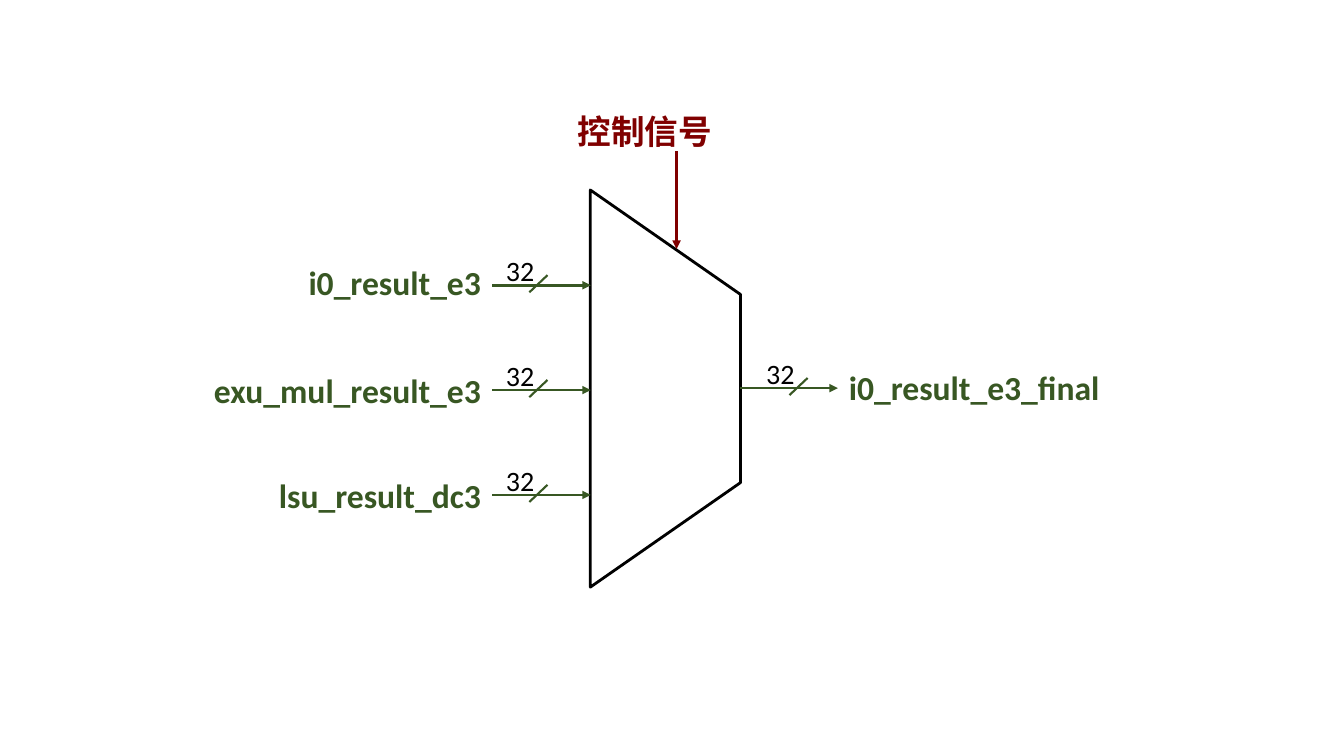
from dataclasses import dataclass

from pptx import Presentation
from pptx.dml.color import RGBColor
from pptx.enum.shapes import MSO_CONNECTOR as Connector, MSO_SHAPE as Shape
from pptx.enum.text import MSO_AUTO_SIZE as AutoSize, PP_ALIGN as Align
from pptx.oxml.ns import qn
from pptx.util import Pt
from lxml.etree import SubElement

EMU_PER_PX = 9144


@dataclass(frozen=True)
class Theme:
    font: str = "Calibri"
    signal: RGBColor = RGBColor(0x38, 0x57, 0x23)
    control: RGBColor = RGBColor(0x80, 0x00, 0x00)
    ink: RGBColor = RGBColor(0x00, 0x00, 0x00)
    name_size: int = 24
    width_size: int = 20
    wire: float = 2
    slash: float = 1.5


def px(*lengths):
    return [length * EMU_PER_PX for length in lengths]


class Diagram:
    def __init__(self, slide, theme):
        self.slide = slide
        self.theme = theme

    def text(self, words, frame, size, color, bold=False, align=Align.LEFT):
        box = self.slide.shapes.add_textbox(*px(*frame))
        box.text_frame.word_wrap = False
        box.text_frame.auto_size = AutoSize.SHAPE_TO_FIT_TEXT
        para = box.text_frame.paragraphs[0]
        para.alignment = align
        span = para.add_run()
        span.text = words
        span.font.name = self.theme.font
        span.font.size = Pt(size)
        span.font.bold = bold
        span.font.color.rgb = color

    def name(self, words, left, top, width, color, align=Align.LEFT):
        self.text(words, (left, top, width, 50), self.theme.name_size, color, True, align)

    def line(self, start, end, color, weight, arrow=False):
        connector = self.slide.shapes.add_connector(
            Connector.STRAIGHT, *px(*start, *end))
        connector.line.color.rgb = color
        connector.line.width = Pt(weight)
        if arrow:
            SubElement(connector.line._get_or_add_ln(), qn("a:tailEnd"), type="triangle")
        SubElement(connector._element.spPr, qn("a:effectLst"))

    def arrow(self, start, end, color):
        self.line(start, end, color, self.theme.wire, arrow=True)

    def bus(self, left, right, y, slash_x, bits="32"):
        theme = self.theme
        self.arrow((left, y), (right, y), theme.signal)
        self.line((slash_x, y + 7), (slash_x + 18, y - 10), theme.signal, theme.slash)
        self.text(bits, (slash_x - 33, y - 36, 48, 44), theme.width_size, theme.ink)

    def multiplexer(self, center_x, center_y, span, depth, slant):
        frame = px(center_x - span // 2, center_y - depth // 2, span, depth)
        body = self.slide.shapes.add_shape(Shape.TRAPEZOID, *frame)
        body.adjustments[0] = slant
        body.rotation = 90
        body.shadow.inherit = False
        body.fill.background()
        body.line.color.rgb = self.theme.ink
        body.line.width = Pt(self.theme.wire)


def main():
    deck = Presentation()
    deck.slide_width, deck.slide_height = px(1333, 750)
    page = deck.slides.add_slide(deck.slide_layouts[6])
    theme = Theme()
    diagram = Diagram(page, theme)

    diagram.multiplexer(660, 385, 394, 149, 0.696)

    inputs = [
        ("i0_result_e3", 193, 255),
        ("exu_mul_result_e3", 288, 362),
        ("lsu_result_dc3", 223, 466),
    ]
    for row, (words, width, top) in enumerate(inputs):
        diagram.name(words, 487 - width, top, width, theme.signal, Align.RIGHT)
        diagram.bus(488, 586, 283 + 104 * row, 525)

    diagram.bus(734, 831, 385, 783)
    diagram.name("i0_result_e3_final", 832, 359, 272, theme.signal)

    diagram.name("控制信号", 563, 105, 214, theme.control)
    diagram.arrow((671, 150), (671, 247), theme.control)

    deck.save("out.pptx")


if __name__ == "__main__":
    main()
